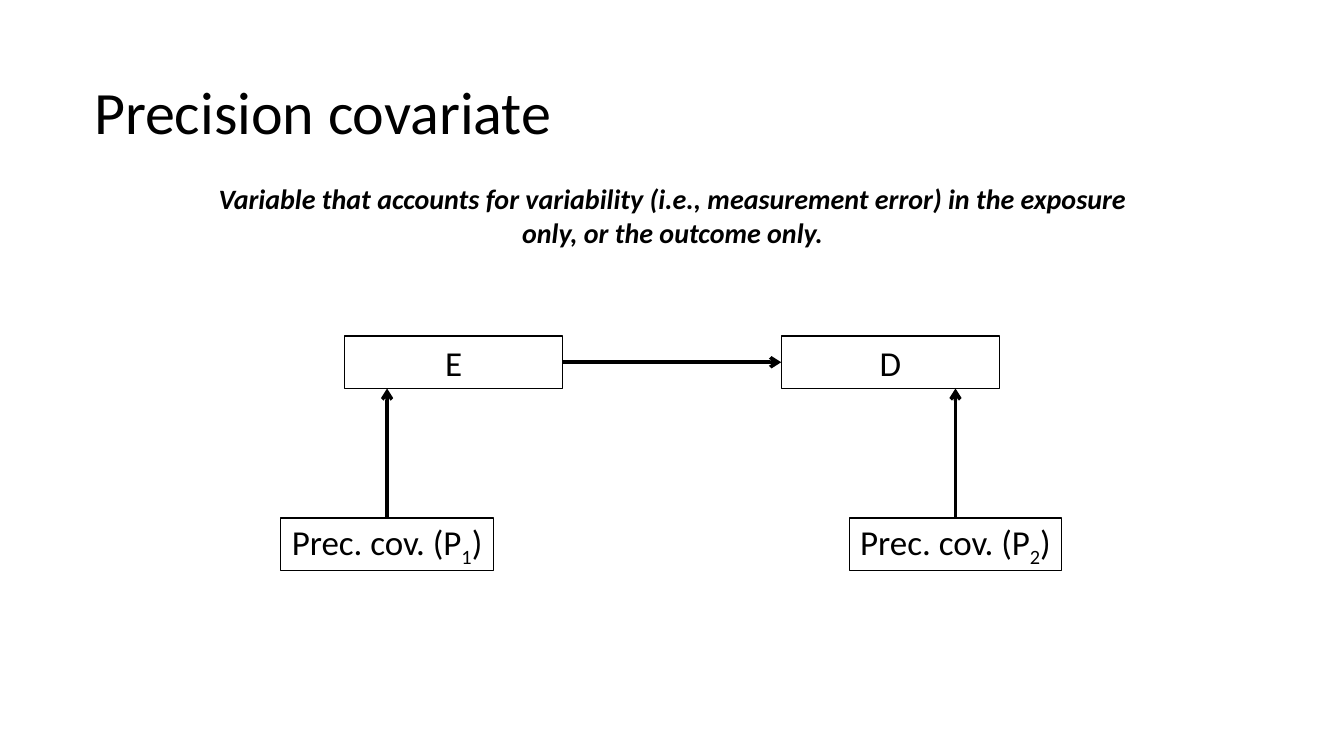
from dataclasses import dataclass

from lxml import etree
from pptx import Presentation
from pptx import util as u
from pptx.dml.color import RGBColor
from pptx.enum import shapes, text
from pptx.oxml.ns import qn


@dataclass(frozen=True)
class Theme:
    font: str = "Calibri"
    ink: RGBColor = RGBColor(0, 0, 0)
    title_size: float = 42.9
    definition_size: float = 20
    node_size: float = 25
    outline: float = 0.75
    arrow: float = 2.5


def add_text(paragraph, content, theme, size, bold=False, italic=False, baseline=0):
    run = paragraph.add_run()
    run.text = content
    font = run.font
    font.name = theme.font
    font.size = u.Pt(size)
    font.bold = bold
    font.italic = italic
    font.color.rgb = theme.ink
    if baseline:
        run._r.get_or_add_rPr().set("baseline", str(baseline * 1000))


class DiagramSlide:
    def __init__(self, slide, theme):
        self.slide = slide
        self.theme = theme

    def placeholder(self, index, box, content, size, align, **style):
        shape = self.slide.placeholders[index]
        shape.left, shape.top, shape.width, shape.height = map(u.Pt, box)
        frame = shape.text_frame
        frame.word_wrap = True
        frame.auto_size = text.MSO_AUTO_SIZE.NONE
        frame.vertical_anchor = text.MSO_ANCHOR.MIDDLE
        paragraph = frame.paragraphs[0]
        paragraph.alignment = align
        paragraph.space_before = u.Pt(0)
        properties = paragraph._p.get_or_add_pPr()
        properties.set("marL", "0")
        properties.set("indent", "0")
        etree.SubElement(properties, qn("a:buNone"))
        add_text(paragraph, content, self.theme, size, **style)

    def node(self, left, top, width, height, label, subscript=None):
        shape = self.slide.shapes.add_shape(
            shapes.MSO_SHAPE.RECTANGLE, *map(u.Pt, (left, top, width, height)))
        shape.shadow.inherit = False
        shape.fill.background()
        shape.line.color.rgb = self.theme.ink
        shape.line.width = u.Pt(self.theme.outline)
        frame = shape.text_frame
        frame.word_wrap = False
        frame.vertical_anchor = text.MSO_ANCHOR.MIDDLE
        paragraph = frame.paragraphs[0]
        paragraph.alignment = text.PP_ALIGN.CENTER
        size = self.theme.node_size
        add_text(paragraph, label, self.theme, size)
        if subscript:
            add_text(paragraph, subscript, self.theme, size, baseline=-25)
            add_text(paragraph, ")", self.theme, size)
        return shape

    def arrow(self, source, source_side, end, target=None, target_side=None):
        end_x, end_y = end
        connector = self.slide.shapes.add_connector(
            shapes.MSO_CONNECTOR.STRAIGHT, source.left, source.top, end_x, end_y)
        connector.begin_connect(source, source_side)
        if target is not None:
            connector.end_connect(target, target_side)
        connector.line.color.rgb = self.theme.ink
        connector.line.width = u.Pt(self.theme.arrow)
        etree.SubElement(connector.line._get_or_add_ln(), qn("a:tailEnd"), type="arrow")
        etree.SubElement(connector._element.spPr, qn("a:effectLst"))


def main():
    theme = Theme()
    presentation = Presentation()
    presentation.slide_width = u.Pt(960)
    presentation.slide_height = u.Pt(540)
    slide = presentation.slides.add_slide(presentation.slide_layouts[1])
    diagram = DiagramSlide(slide, theme)

    diagram.placeholder(0, (60, 34, 864, 90), "Precision covariate",
                        theme.title_size, text.PP_ALIGN.LEFT)
    diagram.placeholder(
        1, (142, 109, 677, 90),
        "Variable that accounts for variability (i.e., measurement error) "
        "in the exposure only, or the outcome only.",
        theme.definition_size, text.PP_ALIGN.CENTER, bold=True, italic=True)

    node_height = 37.5
    exposure = diagram.node(246, 240, 156, node_height, "E")
    outcome = diagram.node(558, 240, 156, node_height, "D")
    diagram.arrow(exposure, 3, (outcome.left, outcome.top), outcome, 1)

    for left, number, target in ((200.5, "1", exposure), (606.5, "2", outcome)):
        covariate = diagram.node(left, 370, 152, node_height, "Prec. cov. (P", number)
        center = covariate.left + covariate.width // 2
        diagram.arrow(covariate, 0, (center, target.top + target.height))

    presentation.save("out.pptx")


if __name__ == "__main__":
    main()
